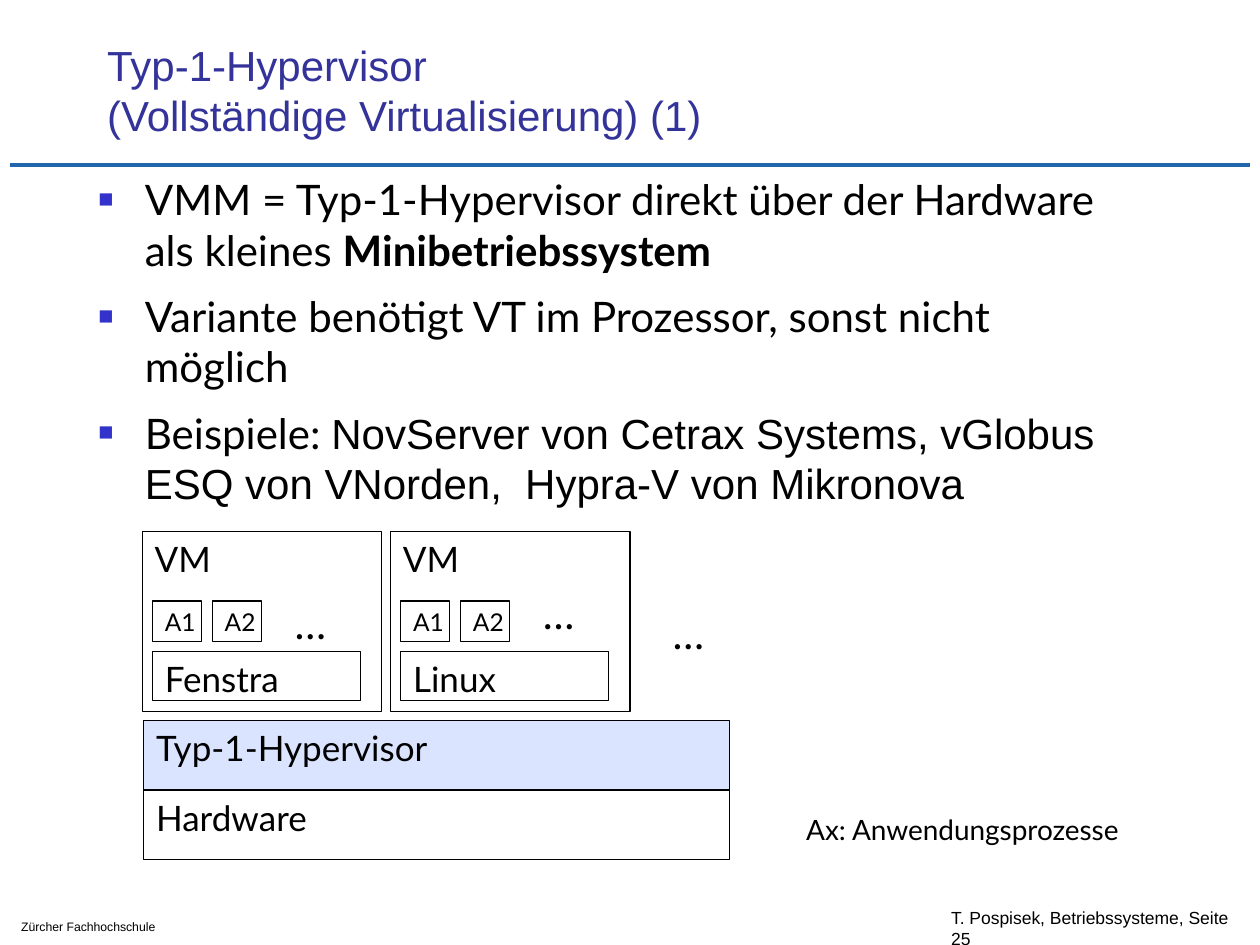
from lxml import etree
from pptx import Presentation
from pptx.dml.color import RGBColor
from pptx.enum.shapes import MSO_CONNECTOR, MSO_SHAPE
from pptx.enum.text import MSO_ANCHOR, MSO_AUTO_SIZE, PP_ALIGN
from pptx.oxml.ns import qn
from pptx.util import Inches, Pt

RECT = MSO_SHAPE.RECTANGLE
LINE = MSO_CONNECTOR.STRAIGHT
TOP, MIDDLE, BOTTOM = MSO_ANCHOR.TOP, MSO_ANCHOR.MIDDLE, MSO_ANCHOR.BOTTOM
LEFT = PP_ALIGN.LEFT
NO_FIT = MSO_AUTO_SIZE.NONE

COLORS = {
    "text": "000000", "title": "333399", "bullet": "3333CC",
    "rule": "2266AB", "white": "FFFFFF", "pale": "DAE4FF",
}
POINTS = [
    [("VMM = Typ-1-Hypervisor direkt über der Hardware als kleines ", "Lato", False),
     ("Minibetriebssystem", "Lato", True)],
    [("Variante benötigt VT im Prozessor, sonst nicht möglich", "Lato", False)],
    [("Beispiele: ", "Lato", False),
     ("NovServer von Cetrax Systems, vGlobus ESQ von VNorden,  Hypra-V von Mikronova",
      "Arial", False)],
]


def color(name):
    return RGBColor.from_string(COLORS[name])


def place(shape, box):
    shape.left, shape.top, shape.width, shape.height = map(Inches, box)


def add_run(para, text, size, font="Lato", tint="text", bold=False):
    run = para.add_run()
    run.text = text
    run.font.size, run.font.name, run.font.bold = Pt(size), font, bold
    run.font.color.rgb = color(tint)


def add_label(slide, box, text, size, font="Lato", anchor=TOP):
    label = slide.shapes.add_textbox(*map(Inches, box))
    frame = label.text_frame
    frame.word_wrap = False
    frame.vertical_anchor = anchor
    add_run(frame.paragraphs[0], text, size, font)


def add_box(slide, box, text, size=20, fill="white"):
    shape = slide.shapes.add_shape(RECT, *map(Inches, box))
    shape.shadow.inherit = False
    shape.fill.solid()
    shape.fill.fore_color.rgb = color(fill)
    shape.line.color.rgb = color("text")
    shape.line.width = Pt(0.75)
    frame = shape.text_frame
    frame.word_wrap = False
    frame.vertical_anchor = TOP
    para = frame.paragraphs[0]
    para.alignment = LEFT
    add_run(para, text, size)


def add_bullet(para):
    props = para._p.get_or_add_pPr()
    props.set("marL", str(Inches(0.38)))
    props.set("indent", str(Inches(-0.37)))
    tint = etree.SubElement(props, qn("a:buClr"))
    etree.SubElement(tint, qn("a:srgbClr"), val=COLORS["bullet"])
    etree.SubElement(props, qn("a:buSzPct"), val="60000")
    etree.SubElement(props, qn("a:buFont"), typeface="Arial")
    etree.SubElement(props, qn("a:buChar"), char="■")


def fill_title(slide, box):
    title = slide.shapes.title
    place(title, box)
    frame = title.text_frame
    frame.auto_size = NO_FIT
    frame.vertical_anchor = BOTTOM
    para = frame.paragraphs[0]
    para.alignment = LEFT
    add_run(para, "Typ-1-Hypervisor", 24, "Arial", "title")
    para.add_line_break()
    add_run(para, "(Vollständige Virtualisierung) (1)", 24, "Arial", "title")


def fill_body(slide, box):
    body = slide.placeholders[1]
    place(body, box)
    frame = body.text_frame
    frame.auto_size = NO_FIT
    for i, runs in enumerate(POINTS):
        para = frame.add_paragraph() if i else frame.paragraphs[0]
        add_bullet(para)
        para.space_before = Pt(9 if i else 0)
        for text, font, bold in runs:
            add_run(para, text, 24, font, bold=bold)


def add_frame(slide):
    """Rule below the title and the two footer texts."""
    ends = [Inches(v) for v in (0.08, 1.31, 9.92, 1.31)]
    rule = slide.shapes.add_connector(LINE, *ends)
    rule.line.color.rgb = color("rule")
    rule.line.width = Pt(2.5)
    etree.SubElement(rule._element.spPr, qn("a:effectLst"))
    add_label(slide, (7.45, 7.2, 2.55, 0.33),
              "T. Pospisek, Betriebssysteme, Seite 25", 10, "Arial", MIDDLE)
    add_label(slide, (0.07, 7.25, 1.72, 0.22), "Zürcher Fachhochschule", 7, "Arial")


def add_vm(slide, box, system, dots):
    """One virtual machine; dots is the drop of its ellipsis from the top."""
    left, top = box[:2]
    add_box(slide, box, "VM")
    add_box(slide, (left + 0.08, top + 0.95, 1.65, 0.39), system)
    for i, app in enumerate(("A1", "A2")):
        add_box(slide, (left + 0.08 + i * 0.475, top + 0.55, 0.39, 0.32), app, 14)
    add_label(slide, (left + 1.11, top + dots, 0.46, 0.5), "…", 24)


def add_stack(slide, left, top):
    """Virtual machines above the hypervisor and the hardware."""
    layers = (("Typ-1-Hypervisor", "pale"), ("Hardware", "white"))
    for i, (text, fill) in enumerate(layers):
        add_box(slide, (left + 0.01, top + 1.5 + i * 0.55, 4.65, 0.55), text, fill=fill)
    for i, (system, dots) in enumerate((("Fenstra", 0.47), ("Linux", 0.39))):
        add_vm(slide, (left + i * 1.97, top, 1.9, 1.43), system, dots)
    add_label(slide, (left + 4.11, top + 0.55, 0.46, 0.5), "…", 24)
    add_label(slide, (left + 5.17, top + 2.18, 2.86, 0.37), "Ax: Anwendungsprozesse", 16)


def main():
    deck = Presentation()
    deck.slide_width, deck.slide_height = Inches(10), Inches(7.5)
    slide = deck.slides.add_slide(deck.slide_layouts[1])
    add_frame(slide)
    fill_title(slide, (0.75, 0.33, 8.52, 0.83))
    fill_body(slide, (0.67, 1.33, 8.5, 2.18))
    add_stack(slide, 1.13, 4.22)
    deck.save("out.pptx")


if __name__ == "__main__":
    main()
